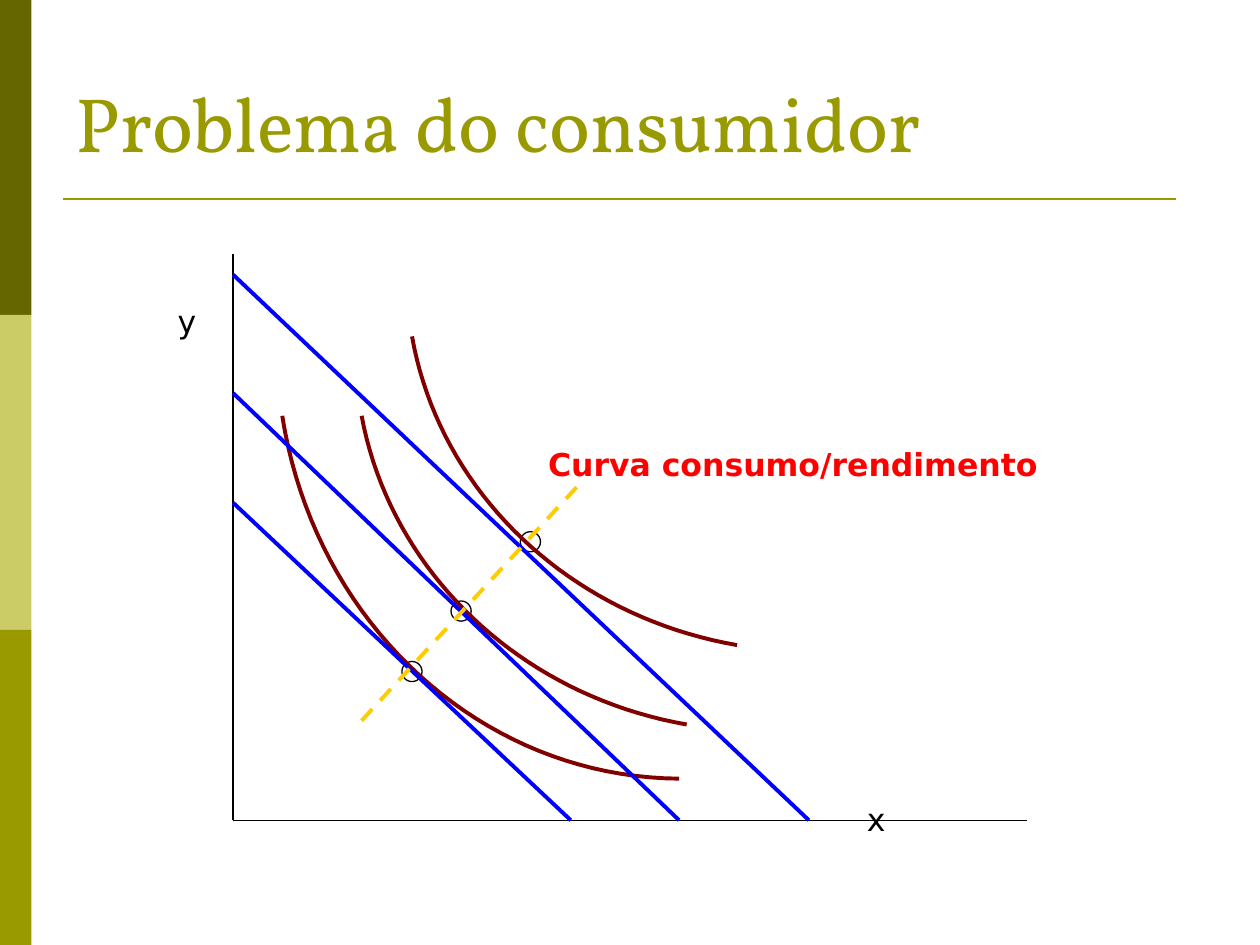
from pptx import Presentation
from pptx.util import Inches, Pt
from pptx.dml.color import RGBColor
from pptx.enum import dml, shapes, text
from pptx.oxml.ns import qn
from lxml import etree

TITLE = "Problema do consumidor"
# label, left indent, space before, colour, bold
LABELS = [
    ("y", 0.88, 0, "000000", False),
    ("Curva consumo/rendimento", 3.82, 59.6, "FF0000", True),
    ("x", 6.35, 181.3, "000000", False),
]
BANDS = ["666600", "CCCC66", "999900"]
ORIGIN = (1.85, 6.51)
AXIS_ENDS = [(8.15, 6.51), (1.85, 2.02)]
# height on the y axis, reach on the x axis
BUDGETS = [(2.18, 6.42), (3.12, 5.39), (3.99, 4.53)]
OPTIMA = [(4.21, 4.30), (3.66, 4.85), (3.27, 5.33)]
# cubic Bezier points of each indifference curve
CURVES = [
    [(5.39, 6.18), (3.83, 6.17), (2.50, 4.96), (2.24, 3.30)],
    [(5.85, 5.12), (4.52, 4.89), (3.49, 3.91), (3.27, 2.67)],
    [(5.45, 5.75), (4.13, 5.52), (3.10, 4.54), (2.87, 3.30)],
]
INCOME_PATH = [(2.87, 5.72), (4.61, 3.83)]
CIRCLE = 0.16
STEPS = 40


def colour(value):
    return RGBColor.from_string(value)


def place(shape, left, top, width, height):
    shape.left, shape.top = Inches(left), Inches(top)
    shape.width, shape.height = Inches(width), Inches(height)


def add_text(para, words, size, font, value, bold=False):
    span = para.add_run()
    span.text = words
    span.font.size, span.font.name, span.font.bold = Pt(size), font, bold
    span.font.color.rgb = colour(value)


def add_line(start, end, value, width):
    line = page.shapes.add_connector(
        shapes.MSO_CONNECTOR.STRAIGHT, *[Inches(n) for n in (*start, *end)])
    line.line.color.rgb = colour(value)
    line.line.width = Pt(width)
    etree.SubElement(line._element.spPr, qn("a:effectLst"))
    return line


def add_preset(kind, left, top, width, height):
    shape = page.shapes.add_shape(
        kind, *[Inches(n) for n in (left, top, width, height)])
    shape.shadow.inherit = False
    return shape


def bezier(points, t):
    weights = ((1 - t) ** 3, 3 * t * (1 - t) ** 2, 3 * t * t * (1 - t), t ** 3)
    return tuple(Inches(sum(w * p[axis] for w, p in zip(weights, points)))
                 for axis in (0, 1))


deck = Presentation()
deck.slide_width, deck.slide_height = Inches(10), Inches(7.5)
page = deck.slides.add_slide(deck.slide_layouts[1])

# Title
title = page.shapes.title
place(title, 0.5, 0.13, 9, 1.25)
title.text_frame.vertical_anchor = text.MSO_ANCHOR.BOTTOM
title.text_frame.auto_size = text.MSO_AUTO_SIZE.NONE
heading = title.text_frame.paragraphs[0]
heading.alignment = text.PP_ALIGN.LEFT
add_text(heading, TITLE, 44, "Vollkorn", "999900")

# Diagram labels
body = page.placeholders[1]
place(body, 0.43, 1.75, 9, 5.23)
frame = body.text_frame
frame.auto_size = text.MSO_AUTO_SIZE.NONE
frame.margin_top = Inches(0.65)
for index, (words, indent, before, value, bold) in enumerate(LABELS):
    para = frame.add_paragraph() if index else frame.paragraphs[0]
    para.space_before, para.line_spacing = Pt(before), 1.0
    props = para._p.get_or_add_pPr()
    props.set("marL", str(Inches(indent)))
    props.set("indent", "0")
    etree.SubElement(props, qn("a:buNone"))
    add_text(para, words, 18, "DejaVu Sans", value, bold)

# Side bands and title rule
for index, value in enumerate(BANDS):
    band = add_preset(shapes.MSO_SHAPE.RECTANGLE, 0, 2.5 * index, 0.25, 2.5)
    band.fill.solid()
    band.fill.fore_color.rgb = colour(value)
    band.line.fill.background()
add_line((0.5, 1.58), (9.33, 1.58), "999900", 1.5)

# Axes
for end in AXIS_ENDS:
    add_line(ORIGIN, end, "000000", 0.75)

# Optimal choices
for x, y in OPTIMA:
    circle = add_preset(shapes.MSO_SHAPE.OVAL, x - CIRCLE / 2, y - CIRCLE / 2,
                        CIRCLE, CIRCLE)
    circle.fill.background()
    circle.line.color.rgb = colour("000000")
    circle.line.width = Pt(0.75)

# Indifference curves
for points in CURVES:
    track = [bezier(points, step / STEPS) for step in range(STEPS + 1)]
    builder = page.shapes.build_freeform(*track[0])
    builder.add_line_segments(track[1:], close=False)
    curve = builder.convert_to_shape()
    curve.shadow.inherit = False
    curve.fill.background()
    curve.line.color.rgb = colour("800000")
    curve.line.width = Pt(2.25)

# Budget lines and the income path
for height, reach in BUDGETS:
    add_line((ORIGIN[0], height), (reach, ORIGIN[1]), "0000FF", 2.25)
income = add_line(*INCOME_PATH, "FFCC00", 2.25)
income.line.dash_style = dml.MSO_LINE.DASH

deck.save("out.pptx")
